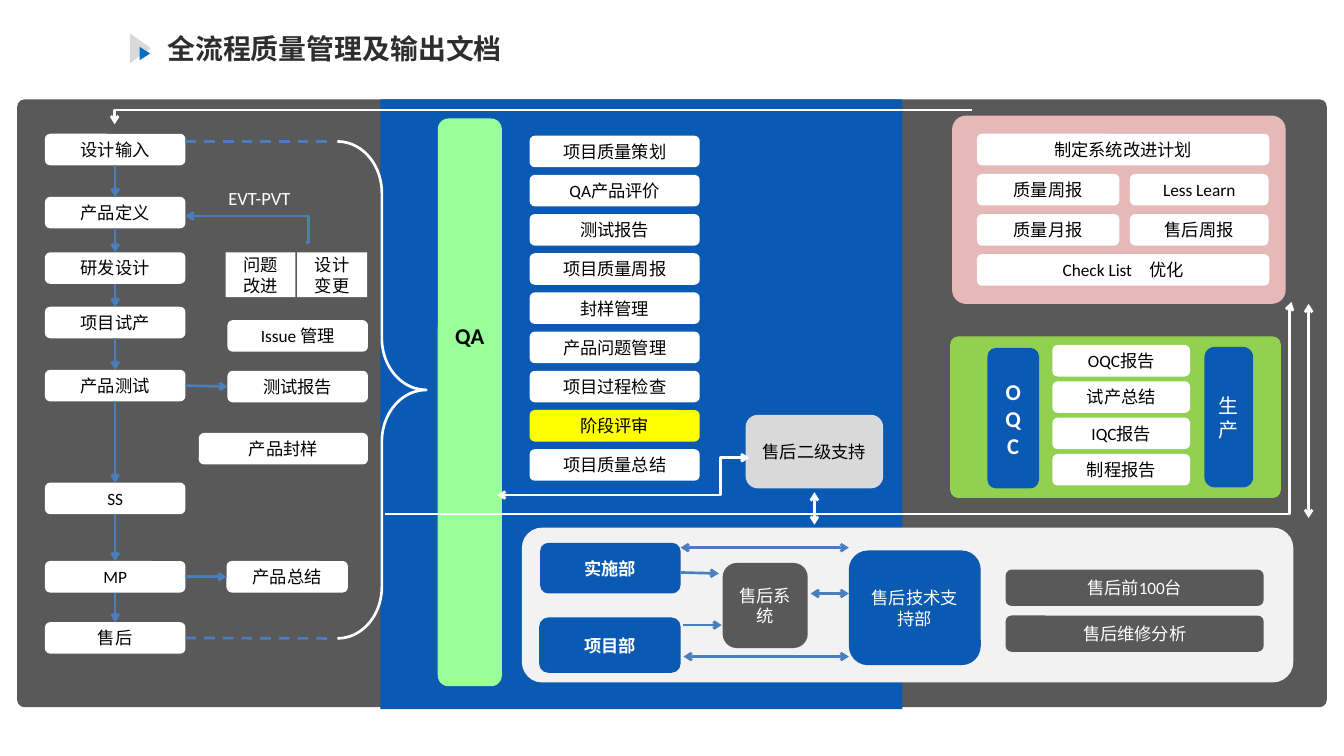
from dataclasses import dataclass
from itertools import pairwise
from typing import Optional

from lxml.etree import SubElement
from pptx import Presentation
from pptx.dml.color import RGBColor
from pptx.enum.dml import MSO_LINE
from pptx.enum.shapes import MSO_CONNECTOR, MSO_SHAPE
from pptx.enum.text import MSO_ANCHOR, MSO_AUTO_SIZE, PP_ALIGN
from pptx.oxml.ns import qn
from pptx.shapes.autoshape import Shape
from pptx.shapes.connector import Connector
from pptx.slide import Slide
from pptx.util import Inches, Pt

WHITE = RGBColor(0xFF, 0xFF, 0xFF)
BLACK = RGBColor(0x00, 0x00, 0x00)
INK = RGBColor(0x2E, 0x2E, 0x2E)
DARK = RGBColor(0x59, 0x59, 0x59)
BLUE = RGBColor(0x0A, 0x59, 0xB2)
ARROW_BLUE = RGBColor(0x4B, 0x7E, 0xBC)
MARK_BLUE = RGBColor(0x00, 0x70, 0xC0)
PALE = RGBColor(0xF2, 0xF2, 0xF2)
GREY = RGBColor(0xD9, 0xD9, 0xD9)
MINT = RGBColor(0x99, 0xFF, 0x99)
GREEN = RGBColor(0x92, 0xD0, 0x50)
PINK = RGBColor(0xE6, 0xB9, 0xB8)
YELLOW = RGBColor(0xFF, 0xFF, 0x00)

ROW = 0.33
TOP, LEFT, BOTTOM, RIGHT = range(4)


@dataclass
class Box:
    text: str
    left: float
    top: float
    width: float
    height: float = ROW
    fill: Optional[RGBColor] = WHITE
    color: RGBColor = BLACK
    size: int = 13
    bold: bool = False
    adjust: tuple[float, ...] = ()
    kind: MSO_SHAPE = MSO_SHAPE.ROUNDED_RECTANGLE
    bottom_inset: float = 0.05


@dataclass
class Line:
    begin: tuple[float, float]
    end: tuple[float, float]
    color: RGBColor = ARROW_BLUE
    head: bool = False
    tail: bool = True
    dashed: bool = False
    preset: str = "line"
    bend: Optional[float] = None


def apply_format(target: object, values: dict[str, object]) -> None:
    for name, value in values.items():
        setattr(target, name, value)


def draw_box(slide: Slide, box: Box) -> Shape:
    shape = slide.shapes.add_shape(box.kind, *map(Inches, (box.left, box.top, box.width, box.height)))
    shape.shadow.inherit = False
    shape.line.fill.background()
    if box.fill is None:
        shape.fill.background()
    else:
        shape.fill.solid()
        shape.fill.fore_color.rgb = box.fill
    for index, value in enumerate(box.adjust):
        shape.adjustments[index] = value
    if box.text:
        frame = shape.text_frame
        apply_format(frame, {
            "word_wrap": True, "vertical_anchor": MSO_ANCHOR.MIDDLE,
            "margin_left": Inches(0.11), "margin_right": Inches(0.11),
            "margin_top": Inches(0.05), "margin_bottom": Inches(box.bottom_inset),
        })
        frame.text = box.text
        paragraph = frame.paragraphs[0]
        paragraph.alignment = PP_ALIGN.CENTER
        paragraph.font.color.rgb = box.color
        apply_format(paragraph.font, {"name": "Calibri", "size": Pt(box.size), "bold": box.bold})
    return shape


def draw_line(slide: Slide, line: Line) -> Connector:
    kind = MSO_CONNECTOR.STRAIGHT if line.preset == "line" else MSO_CONNECTOR.ELBOW
    connector = slide.shapes.add_connector(kind, *map(Inches, line.begin + line.end))
    connector.line.color.rgb = line.color
    connector.line.width = Pt(2)
    if line.dashed:
        connector.line.dash_style = MSO_LINE.DASH
    properties = connector._element.spPr
    geometry = properties.find(qn("a:prstGeom"))
    geometry.set("prst", line.preset)
    if line.bend is not None:
        guides = geometry.find(qn("a:avLst"))
        SubElement(guides, qn("a:gd"), name="adj1", fmla=f"val {round(line.bend * 100000)}")
    stroke = properties.find(qn("a:ln"))
    for tag, wanted in (("a:headEnd", line.head), ("a:tailEnd", line.tail)):
        if wanted:
            SubElement(stroke, qn(tag), type="arrow")
    SubElement(properties, qn("a:effectLst"))
    return connector


def link(slide: Slide, source: Shape, source_side: int, target: Shape, target_side: int) -> None:
    connector = draw_line(slide, Line((0, 0), (1, 1)))
    connector.begin_connect(source, source_side)
    connector.end_connect(target, target_side)


PANELS = [
    Box("", 0.18, 1.04, 13.7, 6.36, DARK, adjust=(0.012,)),
    Box("", 3.98, 1.04, 5.46, 6.38, BLUE, kind=MSO_SHAPE.RECTANGLE),
    Box("", 5.46, 5.52, 8.07, 1.62, PALE, adjust=(0.131,)),
    Box("", 9.94, 3.52, 3.46, 1.69, GREEN, adjust=(0.05,)),
    Box("", 9.96, 1.21, 3.49, 1.97, PINK, adjust=(0.074,)),
    Box("QA", 4.58, 1.24, 0.67, 5.94, MINT, size=17, bold=True, bottom_inset=1.45),
]
STAGES = {"设计输入": 1.4, "产品定义": 2.06, "研发设计": 2.64, "项目试产": 3.21,
          "产品测试": 3.87, "SS": 5.05, "MP": 5.87, "售后": 6.51}
BRANCHES = {"产品测试": Box("测试报告", 2.38, 3.88, 1.47),
            "MP": Box("产品总结", 2.37, 5.87, 1.27)}
QA_DOCUMENTS = ["项目质量策划", "QA产品评价", "测试报告", "项目质量周报", "封样管理",
                "产品问题管理", "项目过程检查", "阶段评审", "项目质量总结"]
FACTORY_REPORTS = ["OQC报告", "试产总结", "IQC报告", "制程报告"]
IMPROVEMENTS = [["制定系统改进计划"], ["质量周报", "Less Learn"],
                ["质量月报", "售后周报"], ["Check List　优化"]]
IMPROVEMENT_COLUMNS = {1: [(10.22, 3.06)], 2: [(10.22, 1.49), (11.82, 1.45)]}

BOXES = [
    Box("问题改进", 2.36, 2.64, 0.73, 0.47, adjust=(0,)),
    Box("设计变更", 3.11, 2.64, 0.73, 0.47, adjust=(0,)),
    Box("Issue 管理", 2.38, 3.35, 1.47),
    Box("产品封样", 2.08, 4.53, 1.77),
    Box("EVT-PVT", 2.13, 1.91, 1.17, fill=None, color=WHITE, size=14),
    Box("售后前100台", 10.52, 5.96, 2.7, 0.38, DARK, WHITE),
    Box("售后维修分析", 10.52, 6.44, 2.7, 0.38, DARK, WHITE),
    Box("实施部", 5.65, 5.68, 1.47, 0.53, BLUE, WHITE, bold=True),
    Box("项目部", 5.64, 6.46, 1.48, 0.58, BLUE, WHITE, bold=True),
    Box("售后技术支持部", 8.88, 5.76, 1.38, 1.2, BLUE, WHITE),
    Box("售后系统", 7.56, 5.89, 0.89, 0.89, DARK, WHITE),
    Box("售后二级支持", 7.8, 4.34, 1.44, 0.77, GREY),
    Box("OQ C", 10.33, 3.64, 0.54, 1.47, BLUE, WHITE, 17, True),
    Box("生产", 12.6, 3.63, 0.51, 1.47, BLUE, WHITE, 15, adjust=(0.211,)),
    *(Box(name, 5.54, 1.42 + 0.41 * row, 1.78, fill=YELLOW if name == "阶段评审" else WHITE)
      for row, name in enumerate(QA_DOCUMENTS)),
    *(Box(name, 11.01, 3.61 + 0.38 * row, 1.44) for row, name in enumerate(FACTORY_REPORTS)),
    *(Box(name, left, 1.4 + 0.42 * row, width)
      for row, names in enumerate(IMPROVEMENTS)
      for name, (left, width) in zip(names, IMPROVEMENT_COLUMNS[len(names)])),
    Box("", 1.36, 0.35, 0.22, 0.31, GREY, adjust=(0.5, 1), kind=MSO_SHAPE.RIGHT_ARROW),
    Box("", 1.46, 0.49, 0.11, 0.14, MARK_BLUE, adjust=(0.5, 1), kind=MSO_SHAPE.RIGHT_ARROW),
]
LINES = [
    Line((3.2, 2.54), (1.94, 2.26), preset="bentConnector3", bend=-0.02),
    Line((7.12, 5.99), (7.52, 6)),
    Line((7.15, 6.54), (7.55, 6.54)),
    Line((8.48, 6.21), (8.88, 6.21), head=True),
    Line((7.12, 5.73), (8.88, 5.73), head=True),
    Line((7.15, 6.87), (8.88, 6.87), head=True),
    Line((8.52, 5.15), (8.52, 5.49), WHITE, head=True),
    Line((13.69, 5.42), (13.69, 3.18), WHITE, head=True),
    Line((10.17, 1.15), (1.2, 1.3), WHITE, preset="bentConnector2"),
    Line((4.03, 5.38), (13.51, 3.16), WHITE, preset="bentConnector3", bend=0.998),
    Line((5.2, 5.18), (7.84, 4.79), WHITE, head=True, preset="bentConnector3", bend=0.885),
    Line((1.94, 1.48), (3.48, 1.48), tail=False, dashed=True),
]


def add_title(slide: Slide, text: str) -> None:
    title = slide.shapes.title
    apply_format(title, {"left": Inches(1.64), "top": Inches(0.28),
                         "width": Inches(3.75), "height": Inches(0.46)})
    frame = title.text_frame
    frame.text = text
    apply_format(frame, {"word_wrap": False, "auto_size": MSO_AUTO_SIZE.SHAPE_TO_FIT_TEXT,
                         "vertical_anchor": MSO_ANCHOR.TOP,
                         "margin_left": Inches(0.11), "margin_right": Inches(0.11)})
    paragraph = frame.paragraphs[0]
    paragraph.alignment = PP_ALIGN.LEFT
    paragraph.font.color.rgb = INK
    apply_format(paragraph.font, {"name": "Arial", "size": Pt(21), "bold": True})


def main() -> None:
    presentation = Presentation()
    apply_format(presentation, {"slide_width": Inches(14.06), "slide_height": Inches(7.91)})
    slide = presentation.slides.add_slide(presentation.slide_layouts[5])
    add_title(slide, "全流程质量管理及输出文档")

    for box in PANELS + BOXES:
        draw_box(slide, box)
    stages = {name: draw_box(slide, Box(name, 0.47, top, 1.47)) for name, top in STAGES.items()}
    for earlier, later in pairwise(stages.values()):
        link(slide, earlier, BOTTOM, later, TOP)
    for name, branch in BRANCHES.items():
        link(slide, stages[name], RIGHT, draw_box(slide, branch), LEFT)
    for line in LINES:
        draw_line(slide, line)
    after_sales = draw_line(slide, Line((1.94, 6.68), (3.48, 6.68), tail=False, dashed=True))
    after_sales.begin_connect(stages["售后"], RIGHT)

    brace = draw_box(slide, Box("", 3.53, 1.48, 0.93, 5.2, None, adjust=(0.58, 0.5),
                                kind=MSO_SHAPE.RIGHT_BRACE))
    brace.line.color.rgb = WHITE
    brace.line.width = Pt(2)
    presentation.save("out.pptx")


if __name__ == "__main__":
    main()
